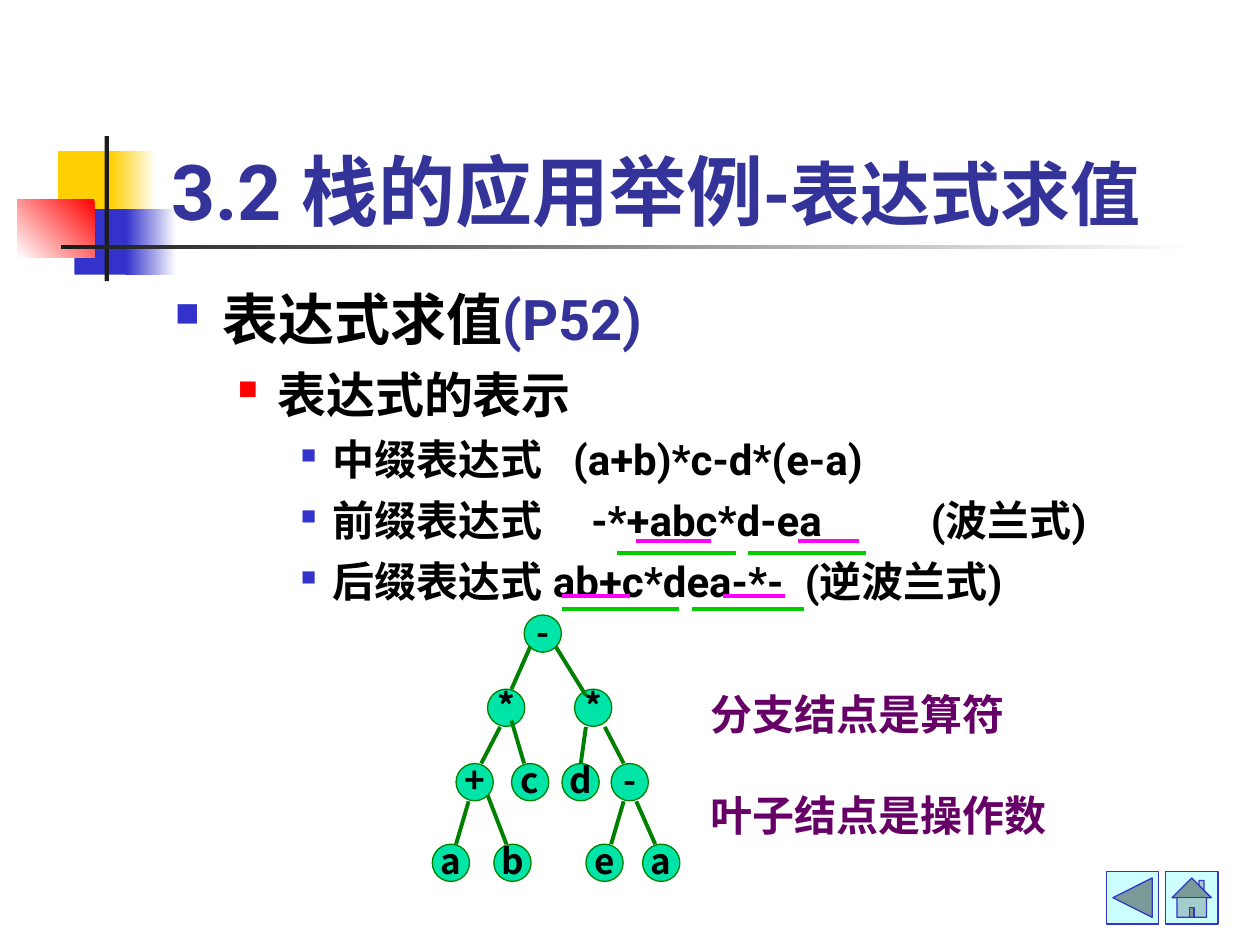
from lxml.etree import SubElement
from pptx import Presentation
from pptx.dml.color import RGBColor
from pptx.enum.shapes import MSO_CONNECTOR, MSO_SHAPE as SHAPE
from pptx.enum.text import MSO_ANCHOR as ANCHOR, PP_ALIGN as ALIGN
from pptx.oxml.ns import qn
from pptx.util import Pt

WHITE = RGBColor(0xFF, 0xFF, 0xFF)
BLACK = RGBColor(0x00, 0x00, 0x00)
YELLOW = RGBColor(0xFF, 0xCF, 0x01)
BLUE = RGBColor(0x33, 0x33, 0xCC)
NAVY = RGBColor(0x33, 0x33, 0x99)
RED = RGBColor(0xFF, 0x00, 0x00)
CHARCOAL = RGBColor(0x1C, 0x1C, 0x1C)
MAGENTA = RGBColor(0xFF, 0x00, 0xFF)
LIME = RGBColor(0x00, 0xCC, 0x00)
GREEN = RGBColor(0x00, 0x80, 0x00)
MINT = RGBColor(0x00, 0xE4, 0xA8)
CYAN = RGBColor(0xCC, 0xFF, 0xFF)
PURPLE = RGBColor(0x66, 0x00, 0x66)
LATIN = "Roboto"
CHINESE = "Noto Sans CJK SC"

deck = Presentation()
deck.slide_width, deck.slide_height = Pt(720), Pt(540)
page = deck.slides.add_slide(deck.slide_layouts[6])


def add_line(x1, y1, x2, y2, color):
    line = page.shapes.add_connector(MSO_CONNECTOR.STRAIGHT, Pt(x1), Pt(y1), Pt(x2), Pt(y2))
    line.line.color.rgb = color
    line.line.width = Pt(2.25)
    SubElement(line._element.spPr, qn("a:effectLst"))


def set_font(font, name, size, color):
    font.name, font.size, font.bold = name, Pt(size), True
    font.color.rgb = color


decorations = [
    (33.1, 86.4, 34.6, 37.4, [YELLOW], 0),
    (63.4, 86.4, 25.9, 37.4, [WHITE, YELLOW], 180),
    (42.5, 119.5, 33.1, 37.4, [BLUE], 0),
    (72, 119.5, 28.8, 37.4, [WHITE, BLUE], 180),
    (10, 113.8, 44, 33.1, [RED, WHITE], 225),
    (59.8, 77.8, 2.4, 82.8, [CHARCOAL], 0),
    (34.6, 140.1, 648, 2.4, [WHITE, CHARCOAL], 180),
]
for left, top, width, height, colors, angle in decorations:
    block = page.shapes.add_shape(SHAPE.RECTANGLE, Pt(left), Pt(top), Pt(width), Pt(height))
    block.shadow.inherit = False
    block.line.fill.background()
    if len(colors) == 1:
        block.fill.solid()
        block.fill.fore_color.rgb = colors[0]
    else:
        block.fill.gradient()
        block.fill.gradient_angle = angle
        for stop, color, position in zip(block.fill.gradient_stops, colors, (0, 1)):
            stop.color.rgb = color
            stop.position = position

title = page.shapes.add_textbox(Pt(90.7), Pt(48.2), Pt(613.4), Pt(90))
title.text_frame.word_wrap = True
title.text_frame.vertical_anchor = ANCHOR.BOTTOM
para = title.text_frame.paragraphs[0]
set_font(para.font, LATIN, 44, NAVY)
for text, size in [("3.2 栈的应用举例", 44), ("-表达式求值", 40)]:
    span = para.add_run()
    span.text = text
    set_font(span.font, LATIN, size, NAVY)

outline = [
    ([("表达式求值", BLACK), ("(P52)", NAVY)], 0, 32, 8, 27, 27, BLUE, 60, []),
    ([("表达式的表示", BLACK)], 1, 28, 7, 58.5, 22.5, RED, 55, []),
    ([("中缀表达式\t(a+b)*c-d*(e-a)", BLACK)], 2, 24, 6, 90, 18, BLUE, 50, [227.5]),
    ([("前缀表达式\t-*+abc*d-ea\t(波兰式)", BLACK)], 2, 24, 6, 90, 18, BLUE, 50, [238, 432]),
    ([("后缀表达式\tab+c*dea-*-\t(逆波兰式)", BLACK)], 2, 24, 6, 90, 18, BLUE, 50, [216, 360]),
]
body = page.shapes.add_textbox(Pt(92.9), Pt(159.1), Pt(612), Pt(380.9))
body.text_frame.word_wrap = True
for index, (parts, level, size, gap, margin, hang, bullet, scale, tabs) in enumerate(outline):
    para = body.text_frame.paragraphs[0] if index == 0 else body.text_frame.add_paragraph()
    para.level = level
    para.space_before = Pt(gap)
    props = para._p.get_or_add_pPr()
    props.set("marL", str(Pt(margin)))
    props.set("indent", str(-Pt(hang)))
    SubElement(SubElement(props, qn("a:buClr")), qn("a:srgbClr"), val=str(bullet))
    SubElement(props, qn("a:buSzPct"), val=str(scale * 1000))
    SubElement(props, qn("a:buChar"), char="■")
    if tabs:
        stops = SubElement(props, qn("a:tabLst"))
        for position in tabs:
            SubElement(stops, qn("a:tab"), pos=str(Pt(position)), algn="l")
    set_font(para.font, LATIN, size, BLACK)
    for text, color in parts:
        span = para.add_run()
        span.text = text
        set_font(span.font, LATIN, size, color)

underlines = [
    (308.9, MAGENTA, [(363.6, 406.1), (455.8, 491)]),
    (316.1, LIME, [(352.8, 420.5), (427.7, 494.6)]),
    (340.6, MAGENTA, [(321.1, 360), (413.3, 448.6)]),
    (347.8, LIME, [(321.1, 388.1), (395.3, 459.4)]),
]
for y, color, extents in underlines:
    for start, end in extents:
        add_line(start, y, end, y, color)

tree_rows = [
    (351.4, [(299.5, "-")]),
    (393.8, [(278.6, "*"), (328.3, "*")]),
    (436.3, [(260.6, "+"), (292.3, "c"), (321.1, "d"), (349.2, "-")]),
    (482.4, [(247, "a"), (282.2, "b"), (334.8, "e"), (367.2, "a")]),
]
for top, nodes in tree_rows:
    for left, label in nodes:
        node = page.shapes.add_shape(SHAPE.OVAL, Pt(left), Pt(top), Pt(21.3), Pt(21.3))
        node.shadow.inherit = False
        node.fill.solid()
        node.fill.fore_color.rgb = MINT
        node.line.color.rgb = GREEN
        node.line.width = Pt(0.75)
        frame = node.text_frame
        frame.word_wrap = False
        frame.vertical_anchor = ANCHOR.MIDDLE
        frame.margin_top = Pt(0.7)
        para = frame.paragraphs[0]
        para.text = label
        para.alignment = ALIGN.CENTER
        set_font(para.font, CHINESE, 20, BLACK)

branches = [
    (303.1, 369.4, 292.3, 393.8), (317.5, 369.4, 334.8, 397.4),
    (285.8, 415.4, 275, 436.3), (292.3, 411.8, 299.5, 436.3),
    (334.8, 415.4, 331.9, 436.3), (345.6, 415.4, 356.4, 436.3),
    (267.8, 457.9, 260.6, 482.4), (278.6, 454.3, 289.4, 482.4),
    (356.4, 457.9, 349.2, 482.4), (363.6, 457.9, 374.4, 482.4),
]
for branch in branches:
    add_line(*branch, GREEN)

remarks = page.shapes.add_textbox(Pt(398.9), Pt(390.2), Pt(212.4), Pt(93.6))
remarks.text_frame.word_wrap = True
remarks.text_frame.text = "分支结点是算符\n叶子结点是操作数"
for para in remarks.text_frame.paragraphs:
    set_font(para.font, CHINESE, 24, PURPLE)
remarks.text_frame.paragraphs[1].space_before = Pt(28.8)

for kind, left in [(SHAPE.ACTION_BUTTON_HOME, 666), (SHAPE.ACTION_BUTTON_BACK_OR_PREVIOUS, 632.2)]:
    button = page.shapes.add_shape(kind, Pt(left), Pt(498), Pt(30), Pt(30))
    button.shadow.inherit = False
    button.fill.solid()
    button.fill.fore_color.rgb = CYAN
    button.line.color.rgb = BLUE
    button.line.width = Pt(0.75)

deck.save("out.pptx")
